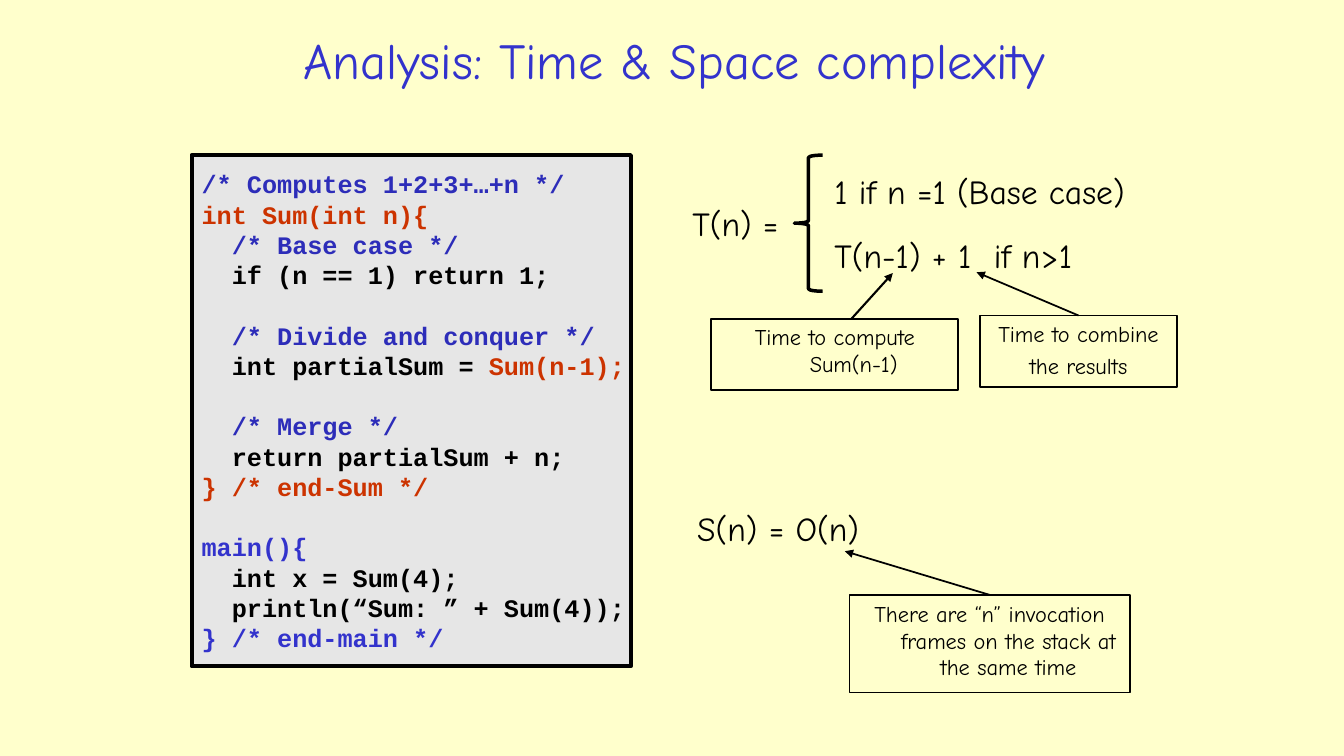
from lxml.etree import SubElement
from pptx import Presentation
from pptx.dml.color import RGBColor
from pptx.enum.shapes import MSO_CONNECTOR as Connector, MSO_SHAPE as Shape
from pptx.enum.text import MSO_ANCHOR as Anchor, PP_ALIGN as Align
from pptx.oxml.ns import qn
from pptx.util import Cm, Pt

CREAM = RGBColor(0xFF, 0xFF, 0xCC)
GREY = RGBColor(0xE6, 0xE6, 0xE6)
BLACK = RGBColor(0x00, 0x00, 0x00)
BLUE = RGBColor(0x33, 0x33, 0xCC)
NAVY = RGBColor(0x2D, 0x2D, 0xB9)
RED = RGBColor(0xCC, 0x33, 0x00)

CODE_PITCH = Pt(21.6)
# Each block is a list of lines, each line a list of (text, colour) runs
CODE_BLOCKS = [
    [
        [("/* Computes 1+2+3+…+n */", NAVY)],
        [("int Sum(int n){", RED)],
        [("  /* Base case */", NAVY)],
        [("  if (n == 1) return 1;", BLACK)],
    ],
    [
        [("  /* Divide and conquer */", NAVY)],
        [("  int partialSum = ", BLACK), ("Sum(n-1);", RED)],
    ],
    [
        [("  /* Merge */", NAVY)],
        [("  return partialSum + n;", BLACK)],
        [("} /* end-Sum */", RED)],
    ],
    [
        [("main(){", BLUE)],
        [("  int x = Sum(4);", BLACK)],
        [("  println(“Sum: ” + Sum(4));", BLACK)],
        [("} /* end-main */", BLUE)],
    ],
]


def apply(target, values):
    for name, value in values.items():
        setattr(target, name, value)


class SlideBuilder:
    text_font = "Comic Neue"
    code_font = "Courier New"
    indent = Cm(0.95)

    def __init__(self, slide):
        self.slide = slide
        fill = slide.background.fill
        fill.solid()
        fill.fore_color.rgb = CREAM

    def add_text(self, paragraph, text, size, color=BLACK, name=text_font, bold=False):
        run = paragraph.add_run()
        run.text = text
        apply(run.font, {"name": name, "size": Pt(size), "bold": bold})
        run.font.color.rgb = color

    def title(self, text, left, top, width, height):
        title = self.slide.shapes.title
        apply(title, {"left": Cm(left), "top": Cm(top),
                      "width": Cm(width), "height": Cm(height)})
        title.text_frame.vertical_anchor = Anchor.MIDDLE
        paragraph = title.text_frame.paragraphs[0]
        paragraph.alignment = Align.CENTER
        self.add_text(paragraph, text, 36, BLUE)

    def shape(self, kind, left, top, width, height, line_width, fill=None):
        shape = self.slide.shapes.add_shape(
            kind, Cm(left), Cm(top), Cm(width), Cm(height))
        shape.shadow.inherit = False
        if fill is None:
            shape.fill.background()
        else:
            shape.fill.solid()
            shape.fill.fore_color.rgb = fill
        shape.line.color.rgb = BLACK
        shape.line.width = Pt(line_width)
        return shape

    def hanging_text(self, frame, lines, size, alignment):
        frame.word_wrap = True
        frame.vertical_anchor = Anchor.TOP
        for index, text in enumerate(lines):
            paragraph = frame.add_paragraph() if index else frame.paragraphs[0]
            properties = paragraph._p.get_or_add_pPr()
            properties.set("marL", str(self.indent))
            properties.set("indent", str(-self.indent))
            apply(paragraph, {"alignment": alignment,
                              "space_before": Pt(0.2 * size if index else 0)})
            self.add_text(paragraph, text, size)

    def formula(self, text, left, top, width):
        box = self.slide.shapes.add_textbox(Cm(left), Cm(top), Cm(width), Cm(1.37))
        self.hanging_text(box.text_frame, [text], 24, Align.LEFT)

    def callout(self, lines, left, top, width, height, line_width=1.25):
        box = self.shape(Shape.RECTANGLE, left, top, width, height, line_width)
        self.hanging_text(box.text_frame, lines, 16, Align.CENTER)
        return box

    def arrow(self, start, end, width=1.25, box=None):
        connector = self.slide.shapes.add_connector(
            Connector.STRAIGHT, *map(Cm, start + end))
        if box is not None:
            connector.begin_connect(box, 0)
        connector.line.color.rgb = BLACK
        connector.line.width = Pt(width)
        SubElement(connector.line._get_or_add_ln(), qn("a:tailEnd"), type="triangle")
        SubElement(connector._element.spPr, qn("a:effectLst"))

    def code(self, blocks, left, top, width, height):
        box = self.shape(Shape.RECTANGLE, left, top, width, height, 3, GREY)
        frame = box.text_frame
        apply(frame, {"word_wrap": False, "vertical_anchor": Anchor.MIDDLE})
        paragraph = frame.paragraphs[0]
        for block_index, block in enumerate(blocks):
            for line_index, line in enumerate(block):
                if block_index or line_index:
                    paragraph = frame.add_paragraph()
                new_block = block_index and not line_index
                apply(paragraph, {"alignment": Align.LEFT,
                                  "line_spacing": CODE_PITCH,
                                  "space_before": CODE_PITCH if new_block else Pt(0)})
                for text, color in line:
                    self.add_text(paragraph, text, 18, color, self.code_font, True)


def main():
    presentation = Presentation()
    presentation.slide_width, presentation.slide_height = Cm(33.87), Cm(19.05)
    builder = SlideBuilder(presentation.slides.add_slide(presentation.slide_layouts[5]))

    # Title and program
    builder.title("Analysis: Time & Space complexity", 4.83, 0.61, 24.31, 1.78)
    builder.code(CODE_BLOCKS, 4.83, 3.91, 11.07, 12.88)

    # Time recurrence
    builder.formula("T(n) =", 17.2, 5, 3.02)
    brace = builder.shape(Shape.LEFT_BRACE, 20.02, 3.91, 0.71, 3.43, 2.5)
    brace.adjustments[0] = 0.084
    builder.formula("1 if n =1 (Base case)", 20.78, 4.19, 8.97)
    builder.formula("T(n-1) + 1  if n>1", 20.78, 5.79, 7.7)

    # Time callouts
    builder.callout(["Time to compute Sum(n-1)"], 17.93, 8.03, 6.22, 1.8, 1.5)
    builder.arrow((21.46, 8.03), (22.5, 6.88), 1.5)
    combine = builder.callout(["Time to combine", "the results"],
                              24.69, 7.95, 4.98, 1.8)
    builder.arrow((27.18, 7.95), (24.61, 6.86), box=combine)

    # Space complexity and its callout
    builder.formula("S(n) = O(n)", 17.32, 12.67, 5.36)
    frames = builder.callout(
        ["There are “n” invocation frames on the stack at the same time"],
        21.41, 14.99, 7.06, 2.46)
    builder.arrow((24.94, 14.99), (21.29, 13.89), box=frames)

    presentation.save("out.pptx")


if __name__ == "__main__":
    main()
